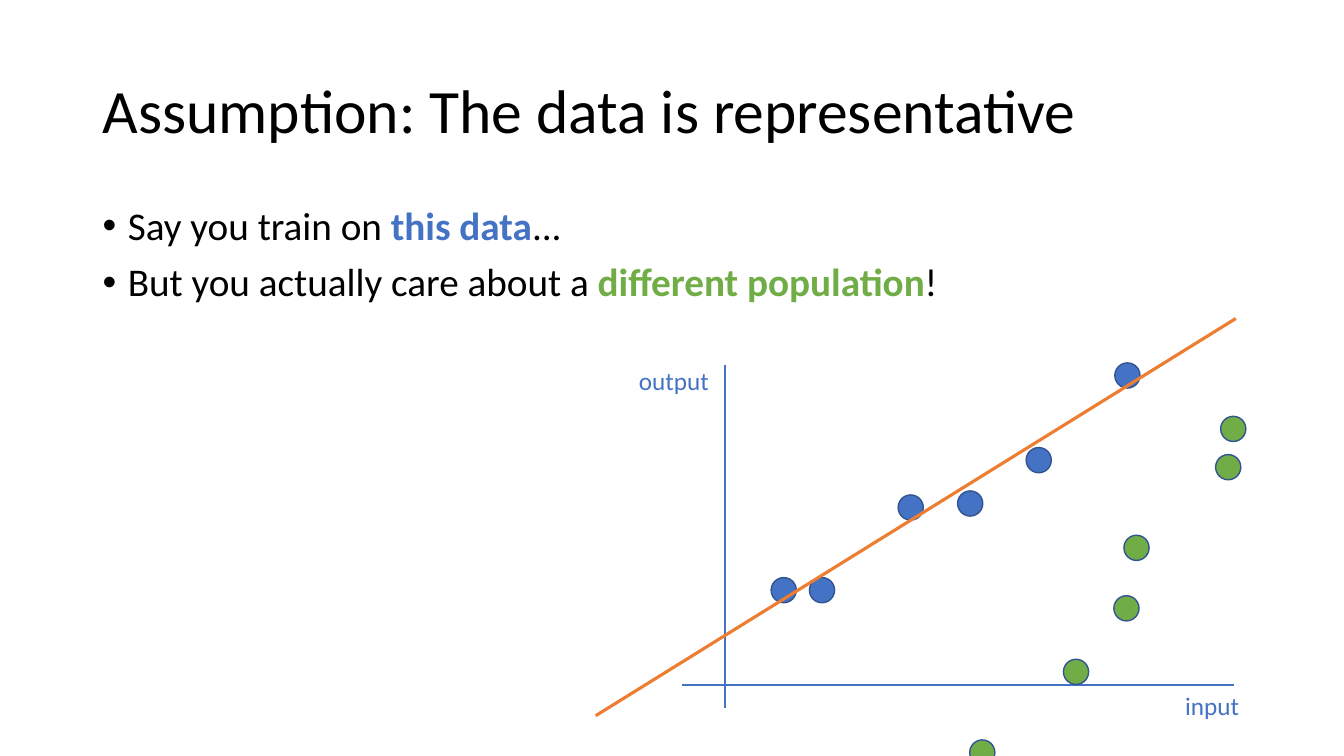
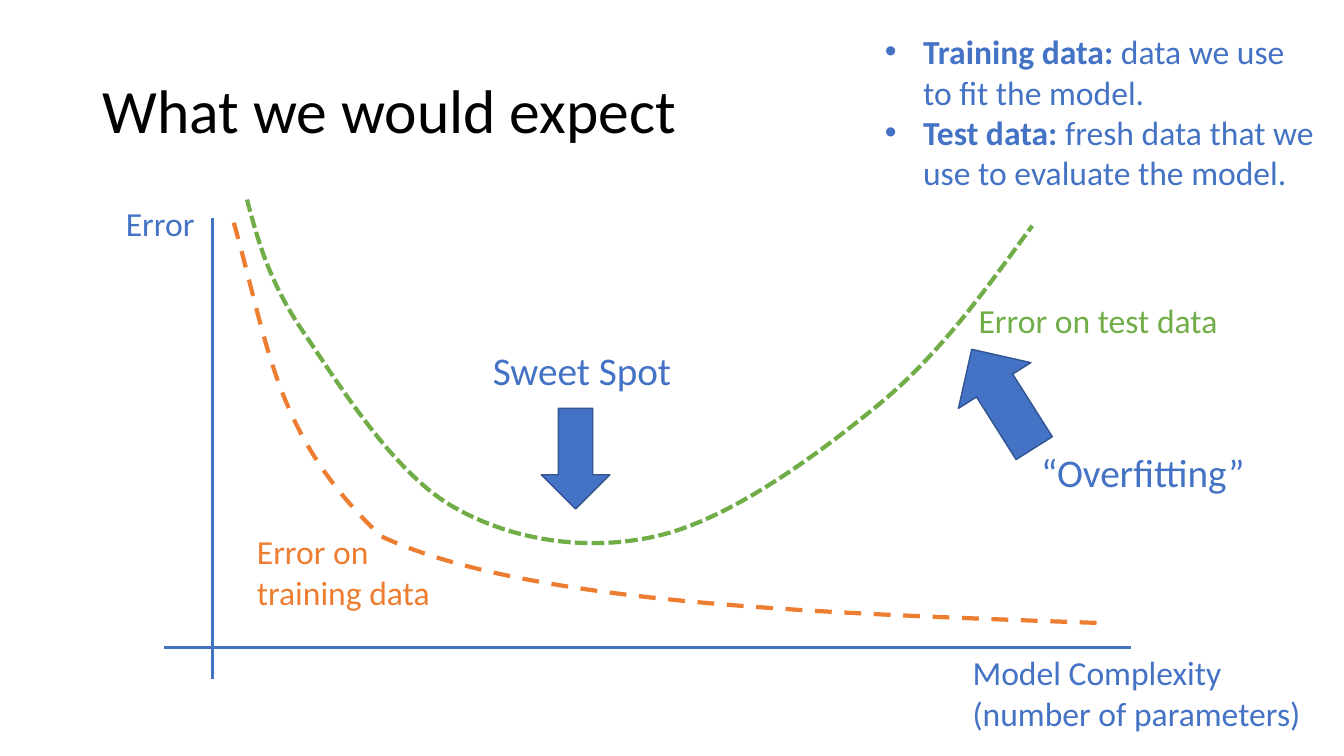
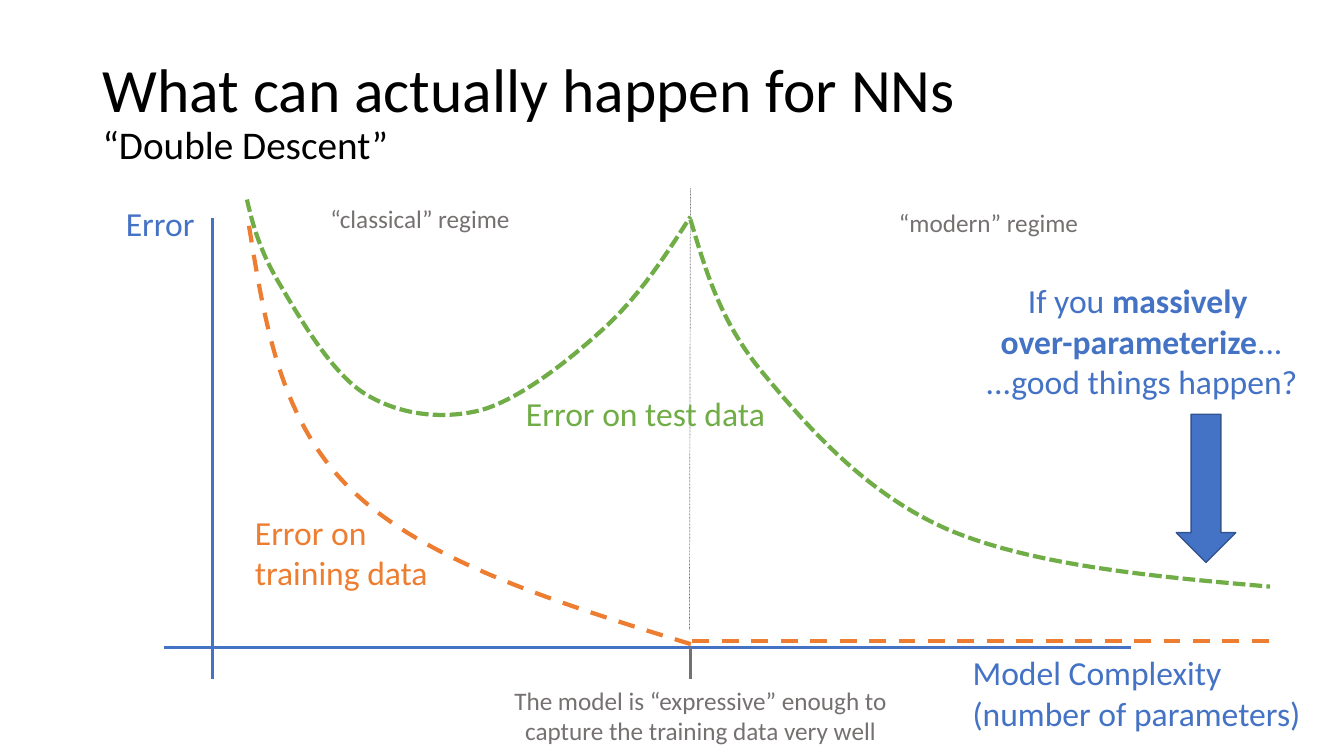
"""Build three slides on representative data, overfitting and double descent."""
from lxml.etree import SubElement
from pptx import Presentation
from pptx.dml.color import RGBColor
from pptx.enum.dml import MSO_LINE as Dash
from pptx.enum.shapes import MSO_CONNECTOR as Connector, MSO_SHAPE as Shape
from pptx.enum.text import MSO_ANCHOR as Anchor, MSO_AUTO_SIZE as AutoSize, PP_ALIGN as Align
from pptx.oxml.ns import qn
from pptx.util import Inches, Pt

FONT = "Calibri"
BLACK, BLUE, EDGE = "000000", "4472C4", "325491"
GREEN, ORANGE, GRAY = "70AD47", "ED7D31", "767171"
TITLE_BOX = (0.92, 0.4, 11.5, 1.45)
DOT_SIZE = 0.25
BREAK = ("\n", {})
BOLD = {"bold": True}
CENTERED = {"alignment": Align.CENTER}
TIGHT = {"line_spacing": 0.9}
GROWING = {"auto_size": AutoSize.SHAPE_TO_FIT_TEXT}


def rgb(color):
    """Turn a hex string into a colour."""
    return RGBColor.from_string(color)


def apply(target, values):
    """Set each named attribute of the target."""
    for name, value in values.items():
        setattr(target, name, value)


def style_line(line, color, width, dash=None):
    """Give a line its colour, width and dash."""
    line.color.rgb = rgb(color)
    apply(line, {"width": Pt(width), "dash_style": dash})


def add_bullet(paragraph, indent):
    """Put a hanging bullet before a paragraph."""
    properties = paragraph._p.get_or_add_pPr()
    properties.set("marL", str(Inches(indent)))
    properties.set("indent", str(-Inches(indent)))
    SubElement(properties, qn("a:buFont"), typeface="Arial")
    SubElement(properties, qn("a:buChar"), char="•")


def add_run(paragraph, text, size, color, bold=False):
    """Append one run of formatted text, or a line break."""
    if text == "\n":
        paragraph.add_line_break()
        return
    run = paragraph.add_run()
    run.text = text
    apply(run.font, {"name": FONT, "size": Pt(size), "bold": bold})
    run.font.color.rgb = rgb(color)


def add_text(slide, box, paragraphs, size=24, color=BLUE, layout=None,
             indent=None, gap=0, frame_format=None):
    """Add a text box whose paragraphs are lists of (text, run format) pairs."""
    frame = slide.shapes.add_textbox(*map(Inches, box)).text_frame
    apply(frame, {"word_wrap": True, **(frame_format or {})})
    for index, runs in enumerate(paragraphs):
        paragraph = frame.paragraphs[0] if index == 0 else frame.add_paragraph()
        if indent:
            add_bullet(paragraph, indent)
        apply(paragraph, {"space_before": Pt(gap if index else 0), **(layout or {})})
        for text, run_format in runs:
            add_run(paragraph, text, **{"size": size, "color": color, **run_format})


def add_label(slide, box, *lines, size=24, color=BLUE, layout=None, wrap=True):
    """Add a plain label with one paragraph for each line."""
    add_text(slide, box, [[(line, {})] for line in lines], size, color, layout,
             frame_format={"word_wrap": wrap, **GROWING})


def add_title(slide, title, subtitle=None):
    """Add the slide title, with an optional smaller second line."""
    runs = [(title, {})]
    if subtitle:
        runs += [BREAK, (subtitle, {"size": 28})]
    add_text(slide, TITLE_BOX, [runs], 44, BLACK, TIGHT,
             frame_format={"vertical_anchor": Anchor.MIDDLE})


def add_line(slide, start, end, color=BLUE, width=2.25, dash=None):
    """Draw a straight line between two points."""
    line = slide.shapes.add_connector(Connector.STRAIGHT, *map(Inches, start + end))
    style_line(line.line, color, width, dash)
    SubElement(line._element.spPr, qn("a:effectLst"))


def add_solid(slide, kind, box, fill=BLUE, rotation=0):
    """Draw a filled preset shape with a thin dark edge."""
    solid = slide.shapes.add_shape(kind, *map(Inches, box))
    solid.fill.solid()
    solid.fill.fore_color.rgb = rgb(fill)
    style_line(solid.line, EDGE, 1)
    solid.rotation = rotation
    solid.shadow.inherit = False


def add_dots(slide, corners, color):
    """Draw a data point at each top-left corner."""
    for left, top in corners:
        add_solid(slide, Shape.OVAL, (left, top, DOT_SIZE, DOT_SIZE), color)


def bend_segments(outline):
    """Merge each three straight segments of an outline into one cubic curve."""
    segments = outline.findall(qn("a:lnTo"))
    for index in range(0, len(segments), 3):
        cubic = SubElement(outline, qn("a:cubicBezTo"))
        for segment in segments[index:index + 3]:
            cubic.append(segment[0])
            outline.remove(segment)


def add_curve(slide, points, color, dash, height=None):
    """Draw joined cubic curves given as a start and triples of points."""
    start, *others = [tuple(map(Inches, point)) for point in points]
    builder = slide.shapes.build_freeform(*start)
    builder.add_line_segments(others, close=False)
    curve = builder.convert_to_shape()
    outline = next(curve._element.iter(qn("a:path")))
    bend_segments(outline)
    if height:
        curve.height = Inches(height)
        outline.set("h", str(Inches(height)))
    curve.fill.background()
    style_line(curve.line, color, 3, dash)
    curve.shadow.inherit = False


def add_error_axes(slide):
    """Draw the axes of error against model complexity."""
    add_line(slide, (2.11, 2.16), (2.11, 6.74))
    add_line(slide, (1.63, 6.42), (11.22, 6.42))
    add_label(slide, (1.15, 1.96, 0.89, 0.5), "Error", wrap=False)
    add_label(slide, (9.55, 6.42, 3.49, 0.91), "Model Complexity",
              "(number of parameters)", wrap=False)


def add_training_label(slide, left, top):
    """Name the training error curve."""
    add_label(slide, (left, top, 1.95, 0.91), "Error on training data", color=ORANGE)


def add_test_label(slide, left, top):
    """Name the test error curve."""
    add_label(slide, (left, top, 2.67, 0.5), "Error on test data", color=GREEN)


def build_representative(slide):
    """Show a fit on one population and points from another."""
    add_title(slide, "Assumption: The data is representative")
    add_text(slide, (0.92, 2, 11.5, 4.76), [
        [("Say you train on ", {}), ("this data", {"color": BLUE, **BOLD}), ("...", {})],
        [("But you actually care about a ", {}),
         ("different population", {"color": GREEN, **BOLD}), ("!", {})],
    ], 28, BLACK, TIGHT, indent=0.25, gap=10)
    add_dots(slide, [(8.03, 5.73), (8.91, 4.91), (10.18, 4.44), (11.06, 3.6),
                     (7.65, 5.73), (9.5, 4.87)], BLUE)
    add_line(slide, (7.19, 3.62), (7.19, 7.02), width=1.5)
    add_line(slide, (6.77, 6.8), (12.24, 6.8), width=1.5)
    add_label(slide, (11.66, 6.8, 1.68, 0.4), "input", size=18)
    add_label(slide, (6.24, 3.58, 1.68, 0.4), "output", size=18)
    add_dots(slide, [(12.06, 4.51), (11.15, 5.31), (10.55, 6.54), (9.62, 7.34),
                     (12.11, 4.13), (11.05, 5.91)], GREEN)
    add_line(slide, (12.26, 3.16), (5.91, 7.1), ORANGE)


def build_expectation(slide):
    """Show the classical picture of overfitting."""
    add_title(slide, "What we would expect")
    add_error_axes(slide)
    add_curve(slide, [(2.32, 2.21), (2.68, 3.49), (2.73, 4.32), (3.78, 5.32),
                      (5.21, 5.99), (8.05, 6.08), (10.88, 6.18)], ORANGE, Dash.DASH)
    add_training_label(slide, 2.45, 5.22)
    add_text(slide, (8.68, 0.26, 4.5, 1.72), [
        [("Training data: ", BOLD), ("data we use to fit the model.", {})],
        [("Test data: ", BOLD), ("fresh data that we use to evaluate the model.", {})],
    ], indent=0.38, frame_format=GROWING)
    add_curve(slide, [(2.45, 1.98), (2.56, 2.39), (2.67, 2.8), (3.02, 3.31),
                      (3.36, 3.81), (3.91, 4.7), (4.5, 5.03),
                      (5.09, 5.37), (5.85, 5.48), (6.55, 5.31),
                      (7.25, 5.14), (8.09, 4.53), (8.71, 4.02),
                      (9.33, 3.51), (9.78, 2.87), (10.24, 2.24)],
              GREEN, Dash.SQUARE_DOT, height=3.4)
    add_test_label(slide, 9.61, 2.93)
    add_solid(slide, Shape.RIGHT_ARROW, (5.21, 4.21, 1, 0.68), rotation=90)
    add_label(slide, (4.79, 3.39, 2.48, 0.57), "Sweet Spot", size=28)
    add_solid(slide, Shape.RIGHT_ARROW, (9.37, 3.53, 1.16, 0.85), rotation=237.7)
    add_label(slide, (10.23, 4.4, 2.65, 0.57), "“Overfitting”", size=28)


def build_double_descent(slide):
    """Show test error falling again past the interpolation point."""
    add_title(slide, "What can actually happen for NNs", "“Double Descent”")
    add_error_axes(slide)
    add_line(slide, (6.85, 6.42), (6.85, 6.74), GRAY)
    add_label(slide, (4.9, 6.75, 4.1, 0.71),
              "The model is “expressive” enough to capture the training data very well",
              size=18, color=GRAY, layout=CENTERED)
    add_line(slide, (6.85, 1.87), (6.84, 6.25), GRAY, 0.5, Dash.ROUND_DOT)
    add_curve(slide, [(2.47, 2.24), (2.63, 3.22), (2.78, 4.21), (3.53, 4.9),
                      (4.28, 5.6), (5.62, 6.01), (6.95, 6.42)], ORANGE, Dash.DASH)
    add_training_label(slide, 2.43, 5.03)
    add_curve(slide, [(2.45, 1.98), (2.51, 2.24), (2.58, 2.49), (2.77, 2.81),
                      (2.96, 3.13), (3.28, 3.69), (3.61, 3.9),
                      (3.94, 4.11), (4.37, 4.17), (4.77, 4.07),
                      (5.16, 3.96), (5.64, 3.58), (5.99, 3.26),
                      (6.34, 2.94), (6.6, 2.54), (6.85, 2.15)],
              GREEN, Dash.SQUARE_DOT, height=2.13)
    add_test_label(slide, 5.12, 3.85)
    add_line(slide, (6.87, 6.36), (12.59, 6.36), ORANGE, 3, Dash.DASH)
    add_curve(slide, [(6.85, 2.18), (7, 2.68), (7.14, 3.18), (7.56, 3.69),
                      (7.99, 4.21), (8.58, 4.9), (9.42, 5.26),
                      (10.26, 5.61), (11.43, 5.72), (12.6, 5.82)], GREEN, Dash.SQUARE_DOT)
    for box, regime in (((3.18, 1.97, 2, 0.4), "“classical” regime"),
                        ((8.82, 2.01, 2.06, 0.4), "“modern” regime")):
        add_label(slide, box, regime, size=18, color=GRAY, wrap=False)
    add_text(slide, (9.07, 2.73, 4.51, 1.31), [
        [("If you ", {}), ("massively ", BOLD)],
        [("over-parameterize", BOLD), ("...", {})],
        [("...good things happen?", {})],
    ], layout=CENTERED, frame_format=GROWING)
    add_solid(slide, Shape.RIGHT_ARROW, (11.23, 4.55, 1.47, 0.59), rotation=90)


def main():
    """Build and save the presentation."""
    deck = Presentation()
    apply(deck, {"slide_width": Inches(40 / 3), "slide_height": Inches(7.5)})
    for build in (build_representative, build_expectation, build_double_descent):
        build(deck.slides.add_slide(deck.slide_layouts[6]))
    deck.save("out.pptx")


if __name__ == "__main__":
    main()
